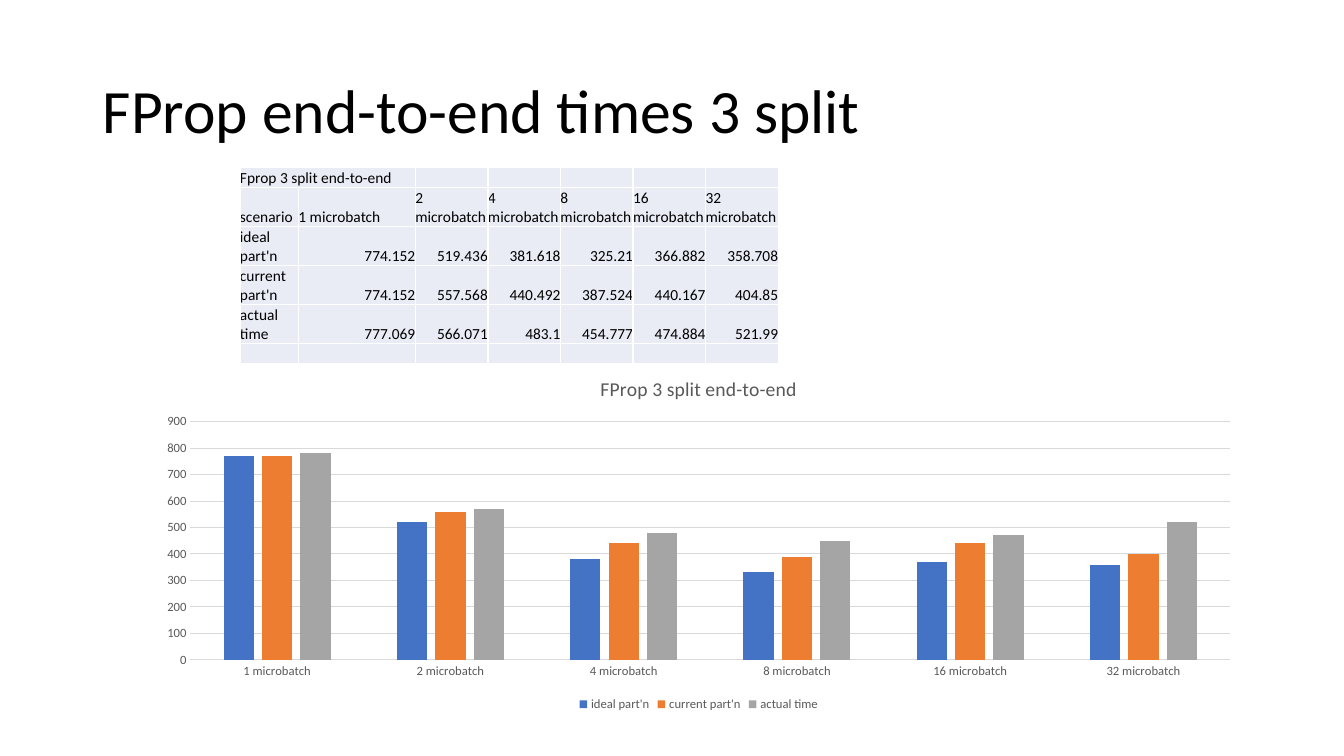
from lxml.etree import SubElement
from pptx import Presentation
from pptx.chart.data import CategoryChartData
from pptx.dml.color import RGBColor
from pptx.enum.chart import XL_CHART_TYPE, XL_LEGEND_POSITION, XL_TICK_MARK
from pptx.enum.text import MSO_ANCHOR, MSO_AUTO_SIZE, PP_ALIGN
from pptx.oxml.ns import qn
from pptx.util import Inches, Pt

FONT = "Calibri"
COLORS = {
    "text": "000000", "muted": "595959", "grid": "D9D9D9",
    "cell": "E9EBF5", "border": "FFFFFF",
}
SERIES_COLORS = ["4472C4", "ED7D31", "A5A5A5"]
BATCHES = [f"{count} microbatch" for count in (1, 2, 4, 8, 16, 32)]
TIMES = {
    "ideal part'n": [774.152, 519.436, 381.618, 325.21, 366.882, 358.708],
    "current part'n": [774.152, 557.568, 440.492, 387.524, 440.167, 404.85],
    "actual time": [777.069, 566.071, 483.1, 454.777, 474.884, 521.99],
}


def rgb(name):
    return RGBColor.from_string(COLORS[name])


def style_font(font, size, color):
    font.name = FONT
    font.size = Pt(size)
    font.bold = False
    font.color.rgb = rgb(color)


def place(shape, box):
    shape.left, shape.top, shape.width, shape.height = map(Inches, box)


def add_title(page, box, text):
    title = page.shapes.title
    place(title, box)
    frame = title.text_frame
    frame.word_wrap = True
    frame.auto_size = MSO_AUTO_SIZE.NONE
    frame.vertical_anchor = MSO_ANCHOR.MIDDLE
    para = frame.paragraphs[0]
    para.alignment = PP_ALIGN.LEFT
    para.line_spacing = 0.9
    span = para.add_run()
    span.text = text
    style_font(span.font, 44, "text")


def add_borders(cell):
    properties = cell._tc.get_or_add_tcPr()
    for side in ("a:lnL", "a:lnR", "a:lnT", "a:lnB"):
        line = SubElement(properties, qn(side), w=str(Pt(1)))
        fill = SubElement(line, qn("a:solidFill"))
        SubElement(fill, qn("a:srgbClr"), val=COLORS["border"])


def fill_cell(cell, value):
    add_borders(cell)
    cell.fill.solid()
    cell.fill.fore_color.rgb = rgb("cell")
    cell.vertical_anchor = MSO_ANCHOR.BOTTOM
    cell.margin_left = cell.margin_right = cell.margin_bottom = 0
    cell.margin_top = Inches(0.01)
    para = cell.text_frame.paragraphs[0]
    if value == "":
        # Keeps an empty row as low as a row of text
        SubElement(para._p, qn("a:endParaRPr"), sz="1100")
        return
    if isinstance(value, float):
        para.alignment = PP_ALIGN.RIGHT
    span = para.add_run()
    span.text = str(value)
    style_font(span.font, 11, "text")


def add_times_table(page, box):
    blank = [""] * len(BATCHES)
    rows = [
        ["Fprop 3 split end-to-end", *blank],
        ["scenario", *BATCHES],
        *([scenario, *times] for scenario, times in TIMES.items()),
        ["", *blank],
    ]
    widths = [0.58, 1.16] + [0.72] * 5
    frame = page.shapes.add_table(len(rows), len(widths), *map(Inches, box))
    table = frame.table
    table.first_row = table.horz_banding = False
    for column, width in zip(table.columns, widths):
        column.width = Inches(width)
    for row, values in zip(table.rows, rows):
        row.height = Inches(0.2)
        for cell, value in zip(row.cells, values):
            fill_cell(cell, value)
    table.cell(0, 0).merge(table.cell(0, 1))


def style_axis(axis):
    axis.major_tick_mark = axis.minor_tick_mark = XL_TICK_MARK.NONE
    style_font(axis.tick_labels.font, 9, "muted")


def add_times_chart(page, box):
    data = CategoryChartData()
    data.categories = BATCHES
    for scenario, times in TIMES.items():
        data.add_series(scenario, [round(time / 10) * 10 for time in times])
    chart = page.shapes.add_chart(
        XL_CHART_TYPE.COLUMN_CLUSTERED, *map(Inches, box), data).chart
    style_font(chart.font, 10, "text")

    chart.has_title = True
    span = chart.chart_title.text_frame.paragraphs[0].add_run()
    span.text = "FProp 3 split end-to-end"
    style_font(span.font, 14, "muted")
    chart.chart_title.include_in_layout = False

    chart.has_legend = True
    chart.legend.position = XL_LEGEND_POSITION.BOTTOM
    chart.legend.include_in_layout = False
    style_font(chart.legend.font, 9, "muted")

    style_axis(chart.category_axis)
    style_axis(chart.value_axis)
    chart.value_axis.minimum_scale = 0
    chart.value_axis.maximum_scale = 900
    chart.value_axis.major_unit = 100
    chart.value_axis.format.line.fill.background()
    for line in (chart.category_axis.format.line,
                 chart.value_axis.major_gridlines.format.line):
        line.color.rgb = rgb("grid")
        line.width = Pt(0.75)

    plot = chart.plots[0]
    plot.vary_by_categories = False
    plot.gap_width = 219
    plot.overlap = -27
    for series, color in zip(plot.series, SERIES_COLORS):
        series.format.fill.solid()
        series.format.fill.fore_color.rgb = RGBColor.from_string(color)


def main():
    deck = Presentation()
    deck.slide_width = Inches(13.33)
    deck.slide_height = Inches(7.5)
    page = deck.slides.add_slide(deck.slide_layouts[5])
    add_title(page, (0.92, 0.4, 11.5, 1.45), "FProp end-to-end times 3 split")
    add_times_chart(page, (1.44, 3.56, 10.98, 3.54))
    add_times_table(page, (2.38, 1.66, 5.35, 1.2))
    deck.save("out.pptx")


if __name__ == "__main__":
    main()
